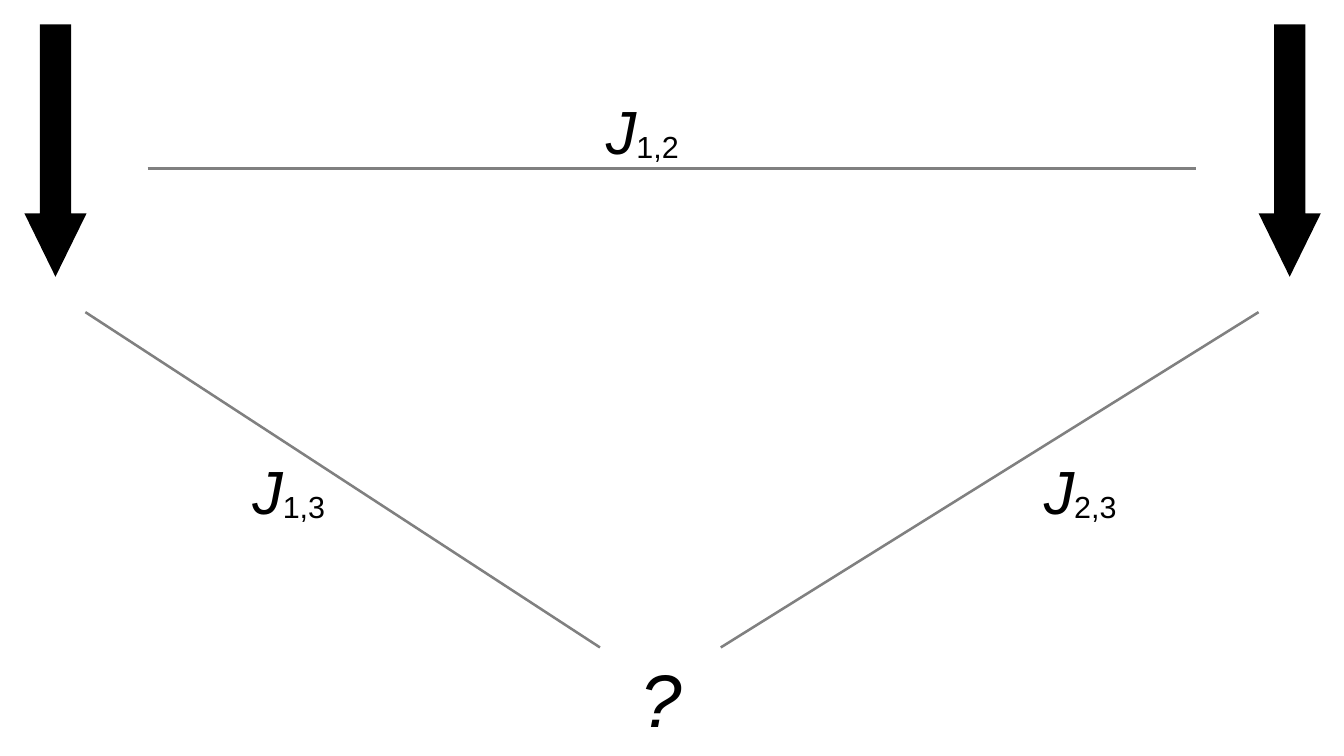
from typing import NamedTuple

from pptx import Presentation
from pptx.dml.color import RGBColor
from pptx.enum.shapes import MSO_CONNECTOR, MSO_SHAPE
from pptx.enum.text import MSO_AUTO_SIZE as AutoSize
from pptx.oxml.xmlchemy import OxmlElement
from pptx.slide import Slide
from pptx.util import Pt

BLACK = RGBColor(0x00, 0x00, 0x00)
GRAY = RGBColor(0x80, 0x80, 0x80)
WHITE = RGBColor(0xFF, 0xFF, 0xFF)


class Bond(NamedTuple):
    x1: float
    y1: float
    x2: float
    y2: float


class Coupling(NamedTuple):
    left: float
    top: float
    sites: str


SPIN_LEFTS = (14.4, 743.04)
BONDS = (
    Bond(50.4, 184.32, 354.24, 382.32),
    Bond(743.04, 184.32, 425.52, 382.32),
    Bond(87.12, 99.36, 706.32, 99.36),
)
COUPLINGS = (
    Coupling(350.64, 51.84, "1,2"),
    Coupling(141.84, 264.24, "1,3"),
    Coupling(609.12, 264.24, "2,3"),
)


def add_spin(s: Slide, left: float) -> None:
    sp = s.shapes.add_shape(MSO_SHAPE.DOWN_ARROW, Pt(left), Pt(14.4), Pt(36.72), Pt(149.04))
    sp.adjustments[0] = 0.5
    sp.adjustments[1] = 1.02
    sp.shadow.inherit = False
    sp.fill.solid()
    sp.fill.fore_color.rgb = BLACK
    sp.line.fill.background()


def add_bond(s: Slide, bond: Bond) -> None:
    line = s.shapes.add_connector(MSO_CONNECTOR.STRAIGHT, *map(Pt, bond))
    line.line.color.rgb = GRAY
    line.line.width = Pt(1.5)
    line._element.spPr.append(OxmlElement("a:effectLst"))


def add_text(s: Slide, text: str, left: float, top: float, width: float, height: float,
             size: float, italic: bool = False) -> None:
    tf = s.shapes.add_textbox(Pt(left), Pt(top), Pt(width), Pt(height)).text_frame
    tf.word_wrap = True
    tf.auto_size = AutoSize.SHAPE_TO_FIT_TEXT
    r = tf.paragraphs[0].add_run()
    r.text = text
    for name, value in {"name": "Arial", "size": Pt(size), "italic": italic}.items():
        setattr(r.font, name, value)
    r.font.color.rgb = BLACK


def add_coupling(s: Slide, coupling: Coupling) -> None:
    """Write an italic J with the two coupled sites as its subscript."""
    left, top, sites = coupling
    add_text(s, "J", left, top, 72.72, 47.52, 36, italic=True)
    add_text(s, sites, left + 18, top + 20.16, 109.44, 27.36, 18)


def main() -> None:
    prs = Presentation()
    prs.slide_width, prs.slide_height = Pt(793.44), Pt(446.4)
    s = prs.slides.add_slide(prs.slide_layouts[6])
    s.background.fill.solid()
    s.background.fill.fore_color.rgb = WHITE
    for left in SPIN_LEFTS:
        add_spin(s, left)
    add_text(s, "?", 370.8, 382.32, 40.32, 56.16, 44, italic=True)
    for bond in BONDS:
        add_bond(s, bond)
    for coupling in COUPLINGS:
        add_coupling(s, coupling)
    prs.save("out.pptx")


if __name__ == "__main__":
    main()
